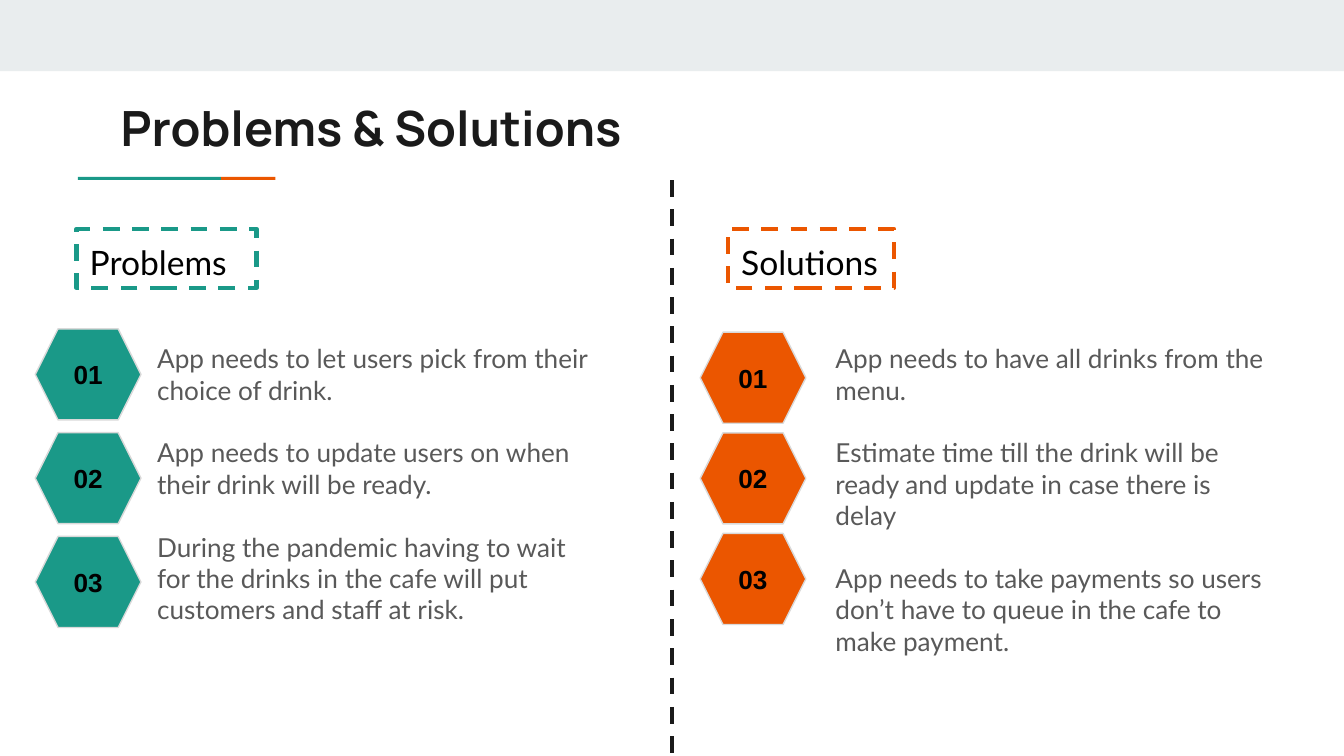
from lxml.etree import SubElement as Sub
from pptx import Presentation
from pptx.dml.color import RGBColor as Rgb
from pptx.enum.dml import MSO_LINE as Dash
from pptx.enum.shapes import MSO_CONNECTOR as Conn, MSO_SHAPE as Kind
from pptx.enum.text import MSO_ANCHOR as Anchor, PP_ALIGN as Align
from pptx.oxml.ns import qn
from pptx.util import Pt

HUES = {"band": "E9EDEE", "teal": "1A9988", "orange": "EB5600", "dark": "1A1A1A",
        "black": "000000", "gray": "595959", "edge": "D9D9D9"}
FONTS = {
    "title": {"name": "Manrope", "size": Pt(26), "bold": True},
    "label": {"name": "Lato", "size": Pt(18), "bold": False},
    "body": {"name": "Lato", "size": Pt(14), "bold": False},
    "badge": {"name": "Arial", "size": Pt(14), "bold": True},
}
SIDES = [
    {"hue": "teal", "head": "Problems", "left": 41, "wide": 96.5, "text": 41,
     "hex": 18.9, "top": 176.2, "step": 55.6, "tall": 165.6, "lines": [
         "App needs to let users pick from their choice of drink.",
         "App needs to update users on when their drink will be ready.",
         "During the pandemic having to wait for the drinks in the cafe "
         "will put customers and staff at risk."]},
    {"hue": "orange", "head": "Solutions", "left": 390, "wide": 89, "text": 404.4,
     "hex": 375.1, "top": 178, "step": 53.9, "tall": 186.5, "lines": [
         "App needs to have all drinks from the menu.",
         "Estimate time till the drink will be ready and update in case there is delay",
         "App needs to take payments so users don’t have to queue in the cafe "
         "to make payment."]},
]


class Deck:
    """Holds the style and the current slide, and draws each kind of element."""

    def __init__(self):
        self.prs = Presentation()
        self.prs.slide_width, self.prs.slide_height = Pt(720), Pt(405)
        self.slide = self.prs.slides.add_slide(self.prs.slide_layouts[6])
        self.hues = {key: Rgb.from_string(val) for key, val in HUES.items()}

    def fill_text(self, shape, lines, font, hue, align=Align.LEFT, anchor=Anchor.TOP,
                  inset=7.2, gap=0):
        frame = shape.text_frame
        form = {"word_wrap": True, "vertical_anchor": anchor, "margin_left": Pt(inset),
                "margin_right": Pt(7.2), "margin_top": Pt(7.2), "margin_bottom": Pt(7.2)}
        for key, val in form.items():
            setattr(frame, key, val)
        for num, line in enumerate(lines):
            para = frame.add_paragraph() if num else frame.paragraphs[0]
            para.alignment = align
            para.space_before = Pt(gap if num else 0)
            run = para.add_run()
            run.text = line
            for key, val in FONTS[font].items():
                setattr(run.font, key, val)
            run.font.color.rgb = self.hues[hue]

    def text(self, box, lines, font, hue, **form):
        shape = self.slide.shapes.add_textbox(*map(Pt, box))
        self.fill_text(shape, lines, font, hue, **form)

    def shape(self, kind, box, fill=None, edge=None, width=0.75, dash=None):
        shape = self.slide.shapes.add_shape(kind, *map(Pt, box))
        shape.shadow.inherit = False
        if fill:
            shape.fill.solid()
            shape.fill.fore_color.rgb = self.hues[fill]
        else:
            shape.fill.background()
        if edge:
            self.stroke(shape.line, edge, width, dash)
        else:
            shape.line.fill.background()
        return shape

    def stroke(self, line, hue, width, dash):
        line.color.rgb = self.hues[hue]
        line.width = Pt(width)
        line.dash_style = dash

    def line(self, ends, hue, width, dash):
        link = self.slide.shapes.add_connector(Conn.STRAIGHT, *map(Pt, ends))
        self.stroke(link.line, hue, width, dash)
        Sub(link._element.spPr, qn("a:effectLst"))

    def label(self, box, text, hue):
        shape = self.shape(Kind.RECTANGLE, box, None, hue, 2.25, Dash.DASH)
        self.fill_text(shape, [text], "label", "black")

    def badge(self, box, text, hue):
        shape = self.shape(Kind.HEXAGON, box, hue, "edge")
        self.fill_text(shape, [text], "badge", "black", Align.CENTER, Anchor.MIDDLE)

    def side(self, data):
        hue, lines = data["hue"], data["lines"]
        self.label((data["left"], 122.6, data["wide"], 31.7), data["head"], hue)
        self.text((data["text"], 176.4, 285.8, data["tall"]), lines, "body", "gray",
                  inset=43.2, gap=16.8)
        for num in range(len(lines)):
            top = data["top"] + num * data["step"]
            self.badge((data["hex"], top, 56.6, 48.8), f"{num + 1:02}", hue)


def main():
    deck = Deck()
    deck.shape(Kind.RECTANGLE, (0, 0, 720, 38.2), "band")
    deck.shape(Kind.RECTANGLE, (118.4, 94.8, 29.2, 1.6), "orange")
    deck.shape(Kind.RECTANGLE, (41.8, 94.8, 76.6, 1.6), "teal")
    deck.text((57.6, 45.4, 605.5, 42.5), ["Problems & Solutions"], "title", "dark")
    deck.line((360, 96.5, 360, 405), "dark", 2.25, Dash.DASH)
    for data in SIDES:
        deck.side(data)
    deck.prs.save("out.pptx")


if __name__ == "__main__":
    main()
